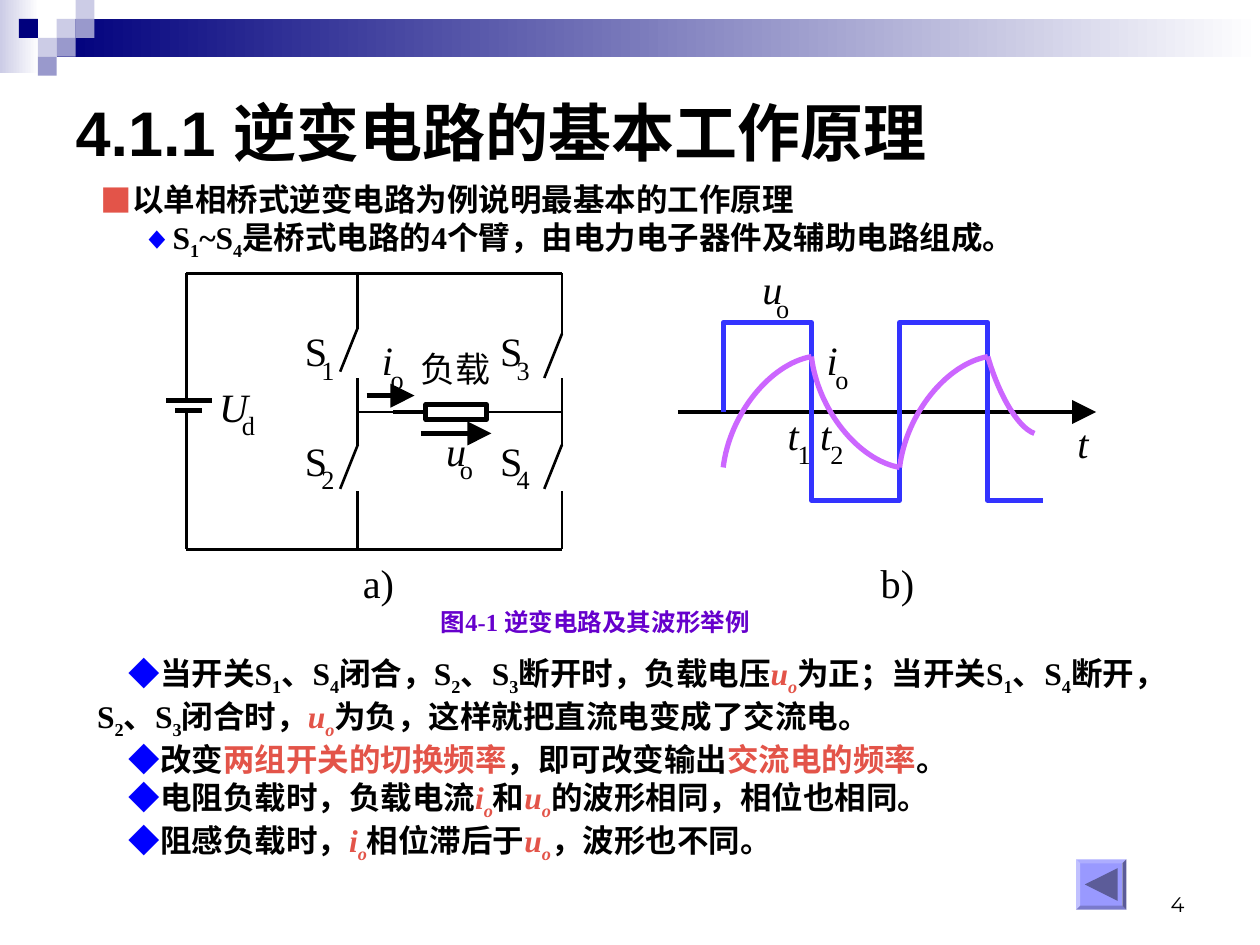
from lxml import etree
from pptx import Presentation
from pptx import util as u
from pptx.dml.color import RGBColor
from pptx.enum import shapes, text
from pptx.oxml import ns

BLACK, RED, BLUE = "000000", "E35449", "0000FF"
NAVY, LILAC, PERIWINKLE = "00007D", "CCCCE6", "9999CC"
SERIF, CHINESE = "Times New Roman", "Noto Sans CJK SC"


def color(value):
    """Turn a hex string into a colour."""
    return RGBColor.from_string(value)


def child(parent, tag, **attributes):
    """Append a DrawingML element to its parent."""
    return etree.SubElement(parent, ns.qn("a:" + tag), attributes)


class SlideBuilder:
    """Hold the style and the current slide."""

    def __init__(self, presentation):
        """Add a slide with a title and two lists."""
        self.slide = presentation.slides.add_slide(presentation.slide_layouts[3])
        self.shapes = self.slide.shapes

    def style(self, run, size, name=SERIF, fill=BLACK, bold=False, italic=False):
        """Format one run with Latin and East Asian fonts."""
        font = run.font
        font.size, font.name, font.bold, font.italic = u.Pt(size), name, bold, italic
        font.color.rgb = color(fill)
        child(run._r.get_or_add_rPr(), "ea", typeface=CHINESE)

    def place(self, shape, left, top, width, height):
        """Move and size a shape."""
        shape.left, shape.top = u.Inches(left), u.Inches(top)
        shape.width, shape.height = u.Inches(width), u.Inches(height)

    def title(self, words, *box):
        """Fill the title placeholder."""
        shape = self.shapes.title
        self.place(shape, *box)
        shape.text_frame.text = words
        paragraph = shape.text_frame.paragraphs[0]
        paragraph.alignment = text.PP_ALIGN.LEFT
        self.style(paragraph.runs[0], 36, "Arial", bold=True)

    def body(self, index, items, *box):
        """Fill a list placeholder from (markup, left, indent, bullet) items."""
        shape = self.slide.placeholders[index]
        self.place(shape, *box)
        frame = shape.text_frame
        frame.auto_size = text.MSO_AUTO_SIZE.NONE
        for number, (markup, left, indent, bullet) in enumerate(items):
            paragraph = frame.paragraphs[0] if number == 0 else frame.add_paragraph()
            properties = paragraph._p.get_or_add_pPr()
            properties.set("marL", str(u.Inches(left)))
            properties.set("indent", str(u.Inches(indent)))
            if bullet:
                character, fill, name = bullet
                child(child(properties, "buClr"), "srgbClr", val=fill)
                child(properties, "buFont", typeface=name)
                child(properties, "buChar", char=character)
            else:
                child(properties, "buNone")
            paragraph.space_before = u.Pt(0)
            self.rich(paragraph, markup)

    def rich(self, paragraph, markup):
        """Add runs split by |, where ^ is red, / red italic and _ subscript."""
        for segment in markup.split("|"):
            italic = segment.startswith("/")
            fill = RED if segment[0] in "/^" else BLUE if segment == "◆" else BLACK
            words = segment.lstrip("/^")
            run = paragraph.add_run()
            run.text = words.lstrip("_")
            self.style(run, 18, fill=fill, bold=True, italic=italic)
            if words.startswith("_"):
                run._r.get_or_add_rPr().set("baseline", "-25000")

    def label(self, words, box, size, inset=True, align=None, **style):
        """Add a one-line text box."""
        frame = self.shapes.add_textbox(*map(u.Inches, box)).text_frame
        frame.word_wrap = inset
        if not inset:
            frame.margin_left = frame.margin_right = 0
            frame.margin_top = frame.margin_bottom = 0
        frame.text = words
        frame.paragraphs[0].alignment = align
        self.style(frame.paragraphs[0].runs[0], size, **style)

    def symbol(self, letter, subscript, left, top):
        """Add a circuit symbol with its lowered index."""
        width, shift = {"S": (0.18, 0.13), "i": (0.09, 0.07), "u": (0.16, 0.11),
                        "U": (0.23, 0.18), "t": (0.09, 0.08)}[letter]
        self.label(letter, (left, top, width, 0.38), 23, False, italic=letter != "S")
        self.label(subscript, (left + shift, top + 0.22, 0.11, 0.25), 15, False)

    def shape(self, kind, box, fill=None, fade=None, line=None):
        """Add a preset shape, plain or fading to the right."""
        shape = self.shapes.add_shape(kind, *map(u.Inches, box))
        self.finish(shape, fill, line, 2.75)
        if fade:
            shape.fill.gradient()
            shape.fill.gradient_angle = 0
            for stop, value in zip(shape.fill.gradient_stops, fade):
                stop.color.rgb = color(value)
        return shape

    def finish(self, shape, fill, line, width):
        """Set the fill, line and shadow of a shape."""
        shape.shadow.inherit = False
        if fill:
            shape.fill.solid()
            shape.fill.fore_color.rgb = color(fill)
        else:
            shape.fill.background()
        if line:
            shape.line.color.rgb = color(line)
            shape.line.width = u.Pt(width)
        else:
            shape.line.fill.background()

    def outline(self, points, fill=None, line=None, curved=False):
        """Add a freeform, closed when filled, or one cubic curve."""
        places = [(u.Inches(x), u.Inches(y)) for x, y in points]
        builder = self.shapes.build_freeform(*places[0], scale=1.0)
        builder.add_line_segments(places[1:], close=bool(fill))
        shape = builder.convert_to_shape()
        self.finish(shape, fill, line, 3)
        if curved:
            segments = list(shape._element.iter(ns.qn("a:lnTo")))
            curve = child(segments[0].getparent(), "cubicBezTo")
            for segment in segments:
                curve.append(segment[0])
                segment.getparent().remove(segment)

    def line(self, x1, y1, x2, y2, width=1.5, arrow=False):
        """Add a black line or arrow."""
        connector = self.shapes.add_connector(
            shapes.MSO_CONNECTOR.STRAIGHT, *map(u.Inches, (x1, y1, x2, y2)))
        connector.line.color.rgb = color(BLACK)
        connector.line.width = u.Pt(width)
        if arrow:
            child(connector.line._get_or_add_ln(), "tailEnd", type="triangle", w="lg", len="lg")
        child(connector._element.spPr, "effectLst")
        return connector


def draw_banner(builder):
    """Draw the header bar and its squares."""
    rectangle = shapes.MSO_SHAPE.RECTANGLE
    builder.shape(rectangle, (0, 0, 0.31, 0.58), fade=(LILAC, "FFFFFF"))
    builder.shape(rectangle, (0.45, 0.15, 9.55, 0.3), fade=(NAVY, "FFFFFF"))
    for column, row, fill in [(3, 1, LILAC), (4, 0, LILAC), (4, 1, PERIWINKLE), (2, 2, LILAC),
                              (1, 1, NAVY), (3, 2, PERIWINKLE), (2, 3, PERIWINKLE)]:
        builder.shape(rectangle, (0.15 * column, 0.15 * row, 0.15, 0.15), fill)


def draw_circuit(builder):
    """Draw the bridge circuit."""
    source, left, right, top, middle, bottom = 1.48, 2.84, 4.46, 2.17, 3.27, 4.36
    for y in (top, bottom):
        builder.line(source, y, right, y)
    builder.line(source, top, source, 3.18)
    builder.line(source, 3.26, source, bottom)
    builder.line(1.32, 3.18, 1.68, 3.18, 2.75)
    builder.line(1.39, 3.26, 1.6, 3.26, 2.75)
    for x, open_top in ((left, 2.6), (right, 2.65)):
        builder.line(x, top, x, open_top)
        builder.line(x, 3, x, 3.53)
        builder.line(x, 3.9, x, bottom)
        builder.line(x - 0.14, open_top + 0.35, x, open_top)
        builder.line(x - 0.14, 3.88, x, 3.53)
    resistor = builder.shape(shapes.MSO_SHAPE.RECTANGLE, (3.38, 3.21, 0.48, 0.12), line=BLACK)
    builder.line(left, middle, 3.12, middle)
    builder.line(3.12, middle, 3.38, middle, 2.75).end_connect(resistor, 1)
    builder.line(3.86, middle, right, middle).begin_connect(resistor, 3)
    builder.line(2.91, 3.14, 3.29, 3.14, 2.75, True)
    builder.line(3.34, 3.44, 3.9, 3.44, 2.75, True)
    builder.label("负载", (3.34, 2.76, 0.56, 0.33), 20, False, name=CHINESE)
    for symbol in [("S", "1", 2.42, 2.59), ("S", "2", 2.42, 3.46), ("S", "3", 3.97, 2.59),
                   ("S", "4", 3.97, 3.46), ("i", "o", 3.03, 2.66), ("u", "o", 3.54, 3.38),
                   ("U", "d", 1.74, 3.03)]:
        builder.symbol(*symbol)
    builder.label("a)", (2.88, 4.43, 0.25, 0.38), 23, False)


def draw_waveforms(builder):
    """Draw the square voltage and the lagging current."""
    axis, high, low, peak, trough = 3.27, 2.56, 3.97, 2.83, 3.71
    times = [5.74 + 0.7 * step for step in range(4)]
    builder.line(5.38, axis, 8.7, axis, 2.75, True)
    square = [(times[0], axis)]
    for step, start in enumerate(times):
        level = low if step % 2 else high
        end = times[step + 1] if step < 3 else 8.28
        square += [(start, level), (end, level)]
    builder.outline(square, line="3333FF")
    for step, start in enumerate(times[:3]):
        first, second = (peak, trough) if step % 2 else (trough, peak)
        bend = (second - first) / 0.88
        builder.outline([(start, first), (start + 0.05, first + 0.42 * bend),
                         (start + 0.37, first + 0.82 * bend), (start + 0.7, second)],
                        line="CC66FF", curved=True)
    builder.outline([(times[3], peak), (7.92, 3.11), (8.07, 3.39), (8.21, 3.44)],
                    line="CC66FF", curved=True)
    for symbol in [("u", "o", 6.05, 2.1), ("i", "o", 6.56, 2.66),
                   ("t", "1", 6.25, 3.26), ("t", "2", 6.51, 3.26)]:
        builder.symbol(*symbol)
    builder.label("t", (8.55, 3.32, 0.09, 0.38), 23, False, italic=True)
    builder.label("b)", (6.99, 4.43, 0.27, 0.38), 23, False)


def main():
    """Build the slide and save it."""
    presentation = Presentation()
    presentation.slide_width, presentation.slide_height = u.Inches(10), u.Inches(7.5)
    builder = SlideBuilder(presentation)
    draw_banner(builder)
    builder.title("4.1.1 逆变电路的基本工作原理", 0.5, 0.64, 9, 0.81)
    builder.body(1, [
        ("以单相桥式逆变电路为例说明最基本的工作原理", 0.25, -0.25, ("■", RED, CHINESE)),
        ("S|_1|~S|_4|是桥式电路的4个臂，由电力电子器件及辅助电路组成。",
         0.57, -0.25, ("◆", BLUE, SERIF)),
    ], 0.7, 1.38, 8.78, 0.75)
    draw_circuit(builder)
    draw_waveforms(builder)
    points = [
        "当开关S|_1|、S|_4|闭合，S|_2|、S|_3|断开时，负载电压|/u|/_o|为正；当开关S|_1|、S|_4|"
        "断开，S|_2|、S|_3|闭合时，|/u|/_o|为负，这样就把直流电变成了交流电。",
        "改变|^两组开关的切换频率|，即可改变输出|^交流电的频率|。",
        "电阻负载时，负载电流|/i|/_o|和|/u|/_o|的波形相同，相位也相同。",
        "阻感负载时，|/i|/_o|相位滞后于|/u|/_o|，波形也不同。",
    ]
    builder.body(2, [("◆|" + point, 0, 0.25, None) for point in points], 0.67, 5.14, 8.66, 1.77)
    builder.label("图4-1 逆变电路及其波形举例", (3.4, 4.77, 3.65, 0.34), 14,
                  fill="6600CC", bold=True)
    button = builder.shape(shapes.MSO_SHAPE.BEVEL, (8.54, 6.82, 0.4, 0.4), "9999FF")
    button.adjustments[0] = 0.08
    builder.outline([(8.61, 7.02), (8.87, 6.89), (8.87, 7.15)], fill="5C5C99")
    builder.label("4", (7.17, 7.03, 2.33, 0.3), 12, align=text.PP_ALIGN.RIGHT, name="Montserrat")
    presentation.save("out.pptx")


if __name__ == "__main__":
    main()
